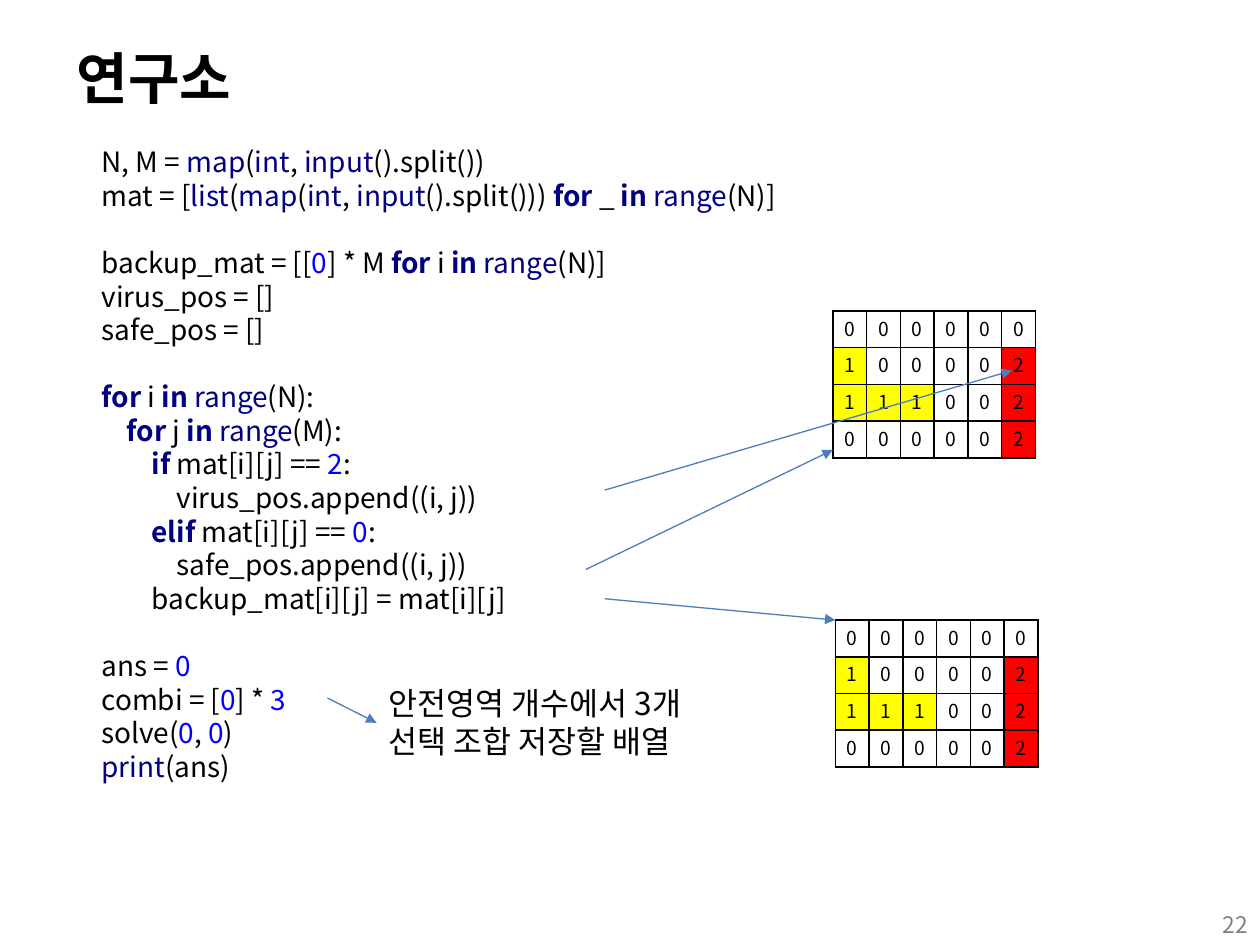
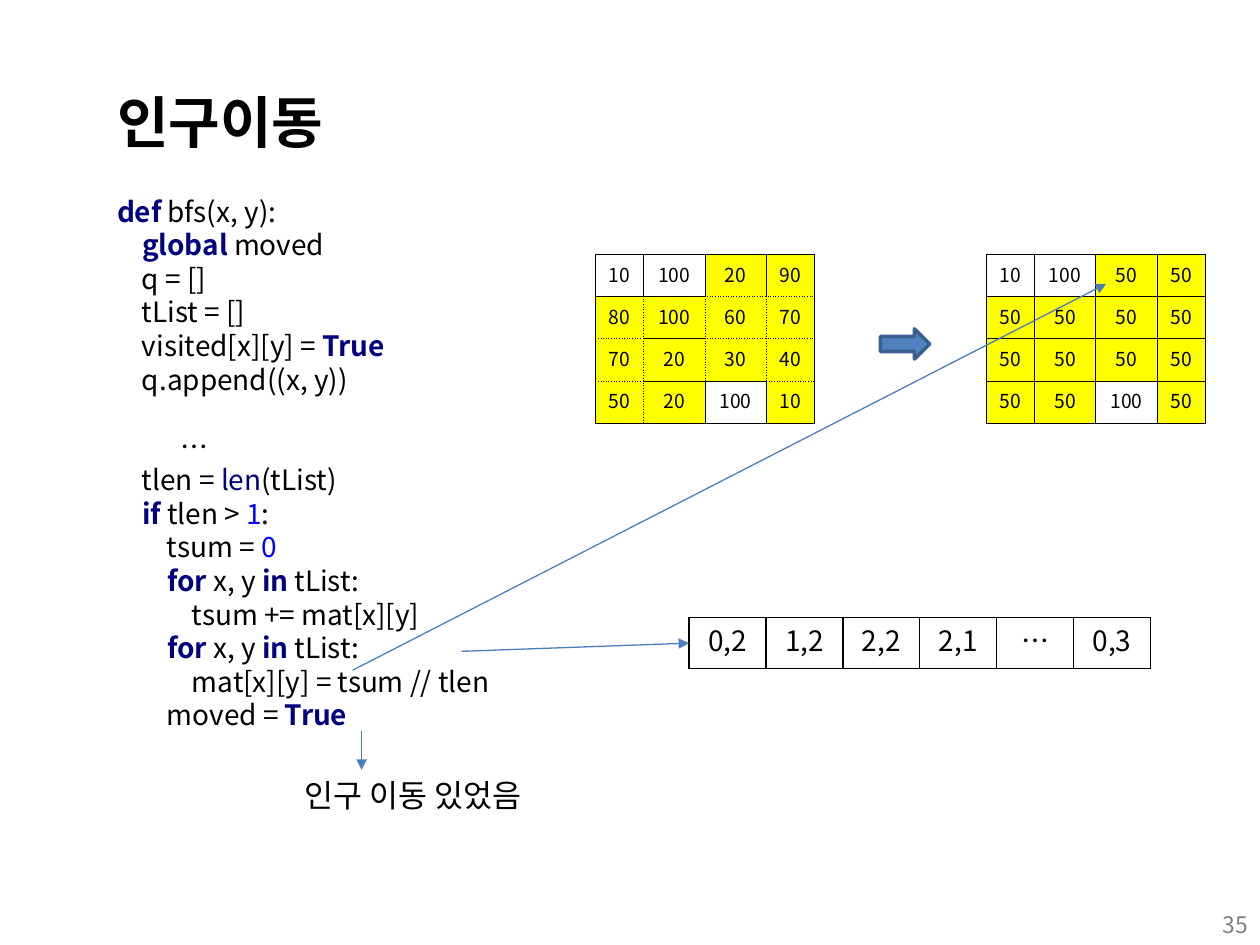
from itertools import groupby

from lxml import etree
from pptx import Presentation
from pptx import util as u
from pptx.dml.color import RGBColor
from pptx.enum import shapes, text
from pptx.oxml import ns

FONT = "Noto Sans CJK KR"
BLACK = RGBColor(0x00, 0x00, 0x00)
WHITE = RGBColor(0xFF, 0xFF, 0xFF)
GRAY = RGBColor(0x80, 0x80, 0x80)
NAVY = RGBColor(0x00, 0x00, 0x80)
BLUE = RGBColor(0x00, 0x00, 0xFF)
YELLOW = RGBColor(0xFF, 0xFF, 0x00)
RED = RGBColor(0xFF, 0x00, 0x00)
ARROW_LINE = RGBColor(0x4B, 0x7E, 0xBC)
BLOCK_FILL = RGBColor(0x4F, 0x81, 0xBD)
BLOCK_LINE = RGBColor(0x3A, 0x5F, 0x8C)

KEYWORDS = {"for", "in", "if", "elif", "def", "global", "True"}
BUILTINS = {"map", "int", "input", "list", "range", "print", "len"}

LAB_CODE = """N, M = map(int, input().split())
mat = [list(map(int, input().split())) for _ in range(N)]

backup_mat = [[0] * M for i in range(N)]
virus_pos = []
safe_pos = []

for i in range(N):
    for j in range(M):
        if mat[i][j] == 2:
            virus_pos.append((i, j))
        elif mat[i][j] == 0:
            safe_pos.append((i, j))
        backup_mat[i][j] = mat[i][j]

ans = 0
combi = [0] * 3
solve(0, 0)
print(ans)"""

BFS_CODE = """def bfs(x, y):
    global moved
    q = []
    tList = []
    visited[x][y] = True
    q.append((x, y))

\t…
    tlen = len(tList)
    if tlen > 1:
        tsum = 0
        for x, y in tList:
            tsum += mat[x][y]
        for x, y in tList:
            mat[x][y] = tsum // tlen
        moved = True"""

LAB_MAP = [
    [0, 0, 0, 0, 0, 0],
    [1, 0, 0, 0, 0, 2],
    [1, 1, 1, 0, 0, 2],
    [0, 0, 0, 0, 0, 2],
]
LAB_COLORS = {1: YELLOW, 2: RED}
LAB_MAP_PLACES = [(16.79, 6.27), (16.84, 12.5)]
LAB_ARROWS = [
    ((12.19, 9.88), (20.4, 7.47)),
    ((11.81, 11.48), (16.79, 9.07)),
    ((12.19, 12.07), (16.84, 12.5)),
]

BEFORE = [
    [10, 100, 20, 90],
    [80, 100, 60, 70],
    [70, 20, 30, 40],
    [50, 20, 100, 10],
]
CLOSED = {(0, 0), (0, 1), (3, 2)}
AVERAGE = 50
LOWEST_GAP, HIGHEST_GAP = 10, 50
COUNTRY_COLUMNS = [0.96, 1.24, 1.24, 0.96]
MOVE_LIST = [["0,2", "1,2", "2,2", "2,1", "…", "0,3"]]
MOVE_ARROWS = [
    ((7.11, 13.51), (22.3, 5.72)),
    ((7.29, 14.73), (7.29, 15.52)),
]


def style_paragraph(para, size, color=BLACK, bold=False, align=None):
    para.alignment = align
    para.line_spacing = u.Pt(size * 1.2)
    font = para.font
    font.name, font.size, font.bold = FONT, u.Pt(size), bold
    font.color.rgb = color
    defaults = para._p.get_or_add_pPr().get_or_add_defRPr()
    etree.SubElement(defaults, ns.qn("a:ea"), typeface=FONT)


def add_box(page, left, top, width, height):
    box = page.shapes.add_textbox(u.Cm(left), u.Cm(top), u.Cm(width), u.Cm(height))
    box.text_frame.word_wrap = True
    return box


def add_text(page, words, place, size, **style):
    box = add_box(page, *place)
    para = box.text_frame.paragraphs[0]
    para.text = words
    style_paragraph(para, size, **style)
    return box


def token_style(token):
    if token in KEYWORDS:
        return NAVY, True
    if token in BUILTINS:
        return NAVY, False
    return (BLUE if token.isdigit() else BLACK), False


def add_code(page, code, place, size=16):
    box = add_box(page, *place)
    box.fill.solid()
    box.fill.fore_color.rgb = WHITE
    frame = box.text_frame
    frame.vertical_anchor = text.MSO_ANCHOR.MIDDLE
    after_gap = False
    for number, line in enumerate(code.split("\n")):
        if not line:
            after_gap = True
            continue
        para = frame.add_paragraph() if number else frame.paragraphs[0]
        style_paragraph(para, size)
        if after_gap:
            para.space_before = u.Pt(size * 1.2)
        after_gap = False
        tokens = ["".join(part) for _, part in
                  groupby(line, lambda sign: sign.isalnum() or sign == "_")]
        for (color, bold), part in groupby(tokens, token_style):
            span = para.add_run()
            span.text = "".join(part)
            span.font.color.rgb = color
            span.font.bold = bold


def add_border(cell, side, width, dotted):
    line = etree.SubElement(cell._tc.get_or_add_tcPr(), ns.qn(f"a:ln{side}"),
                            w=str(u.Pt(width)))
    fill = etree.SubElement(line, ns.qn("a:solidFill"))
    etree.SubElement(fill, ns.qn("a:srgbClr"), val=str(BLACK))
    etree.SubElement(line, ns.qn("a:prstDash"), val="sysDot" if dotted else "solid")


def add_grid(page, rows, place, columns, row_height, border, color_at,
             size=11, margin=0.03, is_open=None):
    frame = page.shapes.add_table(
        len(rows), len(columns), u.Cm(place[0]), u.Cm(place[1]),
        u.Cm(sum(columns)), u.Cm(row_height * len(rows)))
    table = frame.table
    table.first_row = table.horz_banding = False
    for column, width in zip(table.columns, columns):
        column.width = u.Cm(width)
    for r, values in enumerate(rows):
        table.rows[r].height = u.Cm(row_height)
        for c, value in enumerate(values):
            cell = table.cell(r, c)
            cell.text = str(value)
            cell.vertical_anchor = text.MSO_ANCHOR.MIDDLE
            if margin is not None:
                cell.margin_left = cell.margin_right = cell.margin_top = u.Cm(margin)
                cell.margin_bottom = 0
            style_paragraph(cell.text_frame.paragraphs[0], size,
                            align=text.PP_ALIGN.CENTER)
            neighbours = {"L": (r, c - 1), "R": (r, c + 1),
                          "T": (r - 1, c), "B": (r + 1, c)}
            for side, other in neighbours.items():
                dotted = is_open is not None and is_open((r, c), other)
                add_border(cell, side, border, dotted)
            color = color_at(r, c)
            if color is None:
                cell.fill.background()
            else:
                cell.fill.solid()
                cell.fill.fore_color.rgb = color
    return frame


def add_arrow(page, start, end=(0, 0), target=None):
    points = [u.Cm(value) for value in (*start, *end)]
    arrow = page.shapes.add_connector(shapes.MSO_CONNECTOR.STRAIGHT, *points)
    if target is not None:
        arrow.end_connect(target, 1)
    arrow.line.color.rgb = ARROW_LINE
    arrow.line.width = u.Pt(0.75)
    etree.SubElement(arrow.line._get_or_add_ln(), ns.qn("a:tailEnd"), type="triangle")
    etree.SubElement(arrow._element.spPr, ns.qn("a:effectLst"))


def add_page(deck, title, number, left, top):
    page = deck.slides.add_slide(deck.slide_layouts[6])
    add_text(page, number, (19.48, 18.24, 5.92, 0.8), 13, color=GRAY,
             align=text.PP_ALIGN.RIGHT)
    add_text(page, title, (left, top, 22, 2.21), 32, bold=True)
    return page


def country_open(here, there):
    if not all(0 <= index < len(BEFORE) for index in there):
        return False
    gap = abs(BEFORE[here[0]][here[1]] - BEFORE[there[0]][there[1]])
    return LOWEST_GAP <= gap <= HIGHEST_GAP


def build_lab(deck):
    page = add_page(deck, "연구소", "22", 1.3, 0.76)
    add_code(page, LAB_CODE, (1.8, 2.72, 22.91, 13.26))
    for place in LAB_MAP_PLACES:
        add_grid(page, LAB_MAP, place, [0.68] * 6, 0.74, 1,
                 lambda r, c: LAB_COLORS.get(LAB_MAP[r][c]))
    for start, end in LAB_ARROWS:
        add_arrow(page, start, end)
    note = add_text(page, "안전영역 개수에서 3개 선택 조합 저장할 배열",
                    (7.59, 13.67, 7.39, 1.8), 18)
    add_arrow(page, (6.6, 14.07), target=note)


def build_migration(deck):
    page = add_page(deck, "인구이동", "35", 2.11, 1.63)
    add_code(page, BFS_CODE, (2.11, 3.73, 12.8, 11.2))
    after = [[value if (r, c) in CLOSED else AVERAGE for c, value in enumerate(row)]
             for r, row in enumerate(BEFORE)]
    for rows, left, is_open in ((BEFORE, 12.01, country_open), (after, 19.89, None)):
        add_grid(page, rows, (left, 5.13), COUNTRY_COLUMNS, 0.85, 0.5,
                 lambda r, c: None if (r, c) in CLOSED else YELLOW, is_open=is_open)
    block = page.shapes.add_shape(shapes.MSO_SHAPE.RIGHT_ARROW, u.Cm(17.75),
                                  u.Cm(6.63), u.Cm(0.99), u.Cm(0.61))
    block.shadow.inherit = False
    block.fill.solid()
    block.fill.fore_color.rgb = BLOCK_FILL
    block.line.color.rgb = BLOCK_LINE
    block.line.width = u.Pt(2)
    moves = add_grid(page, MOVE_LIST, (13.89, 12.45), [1.55] * 6, 1.03, 1,
                     lambda r, c: None, size=16, margin=None)
    add_arrow(page, (9.3, 13.13), target=moves)
    for start, end in MOVE_ARROWS:
        add_arrow(page, start, end)
    add_text(page, "인구 이동 있었음", (5.89, 15.52, 6.2, 1.02), 18)


def main():
    deck = Presentation()
    deck.slide_width, deck.slide_height = u.Cm(25.4), u.Cm(19.05)
    build_lab(deck)
    build_migration(deck)
    deck.save("out.pptx")


if __name__ == "__main__":
    main()
